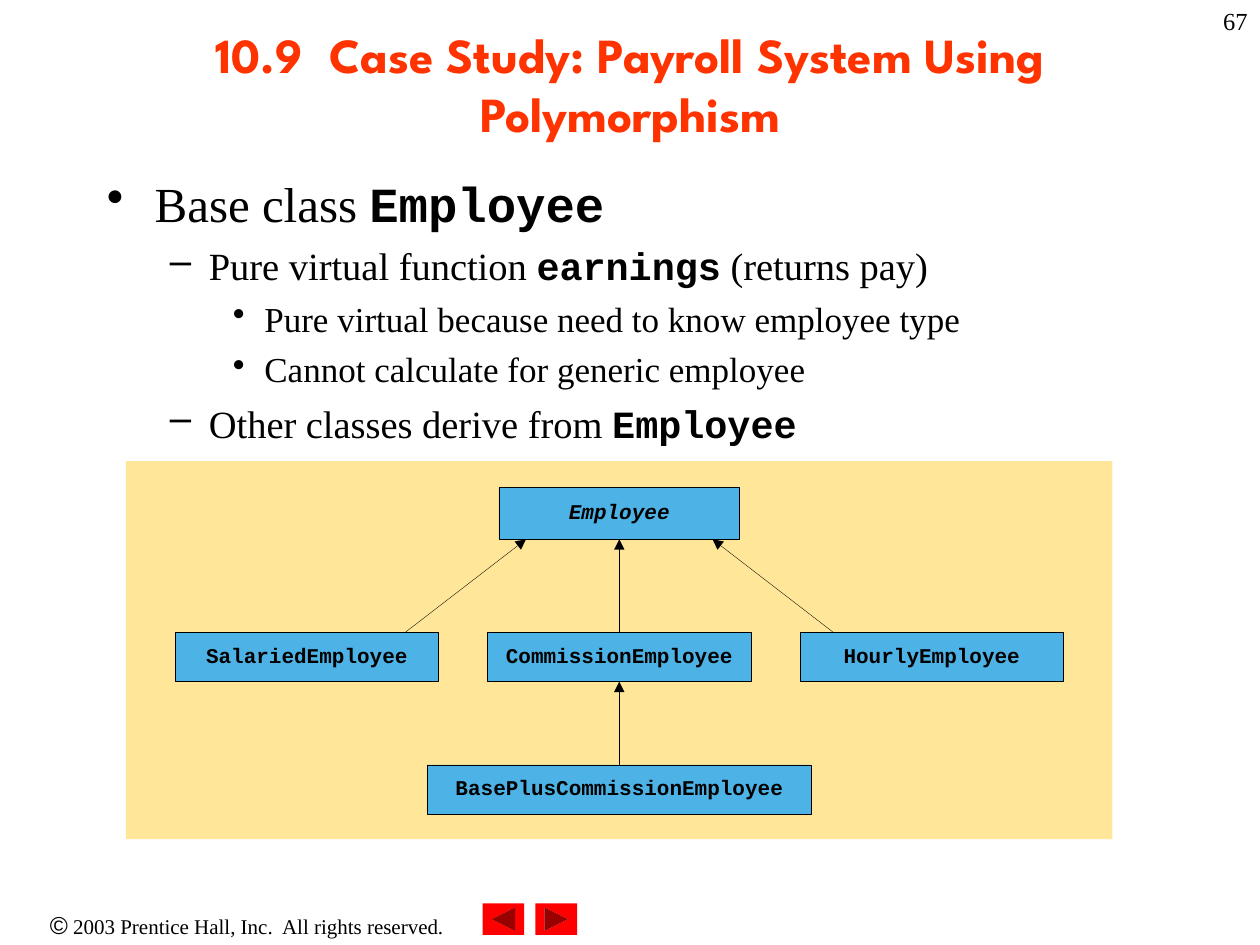
from dataclasses import dataclass

from lxml.etree import SubElement
from pptx import Presentation
from pptx.dml.color import RGBColor
from pptx.enum.shapes import MSO_CONNECTOR as Connector, MSO_SHAPE as Preset
from pptx.enum.text import MSO_ANCHOR as Anchor, PP_ALIGN as Align
from pptx.oxml.ns import qn
from pptx.util import Inches, Pt


@dataclass(frozen=True)
class Theme:
    black: str = "000000"
    title: str = "FF3300"
    panel: str = "FFE699"
    node: str = "4DB3E6"
    button: str = "FF0000"
    serif: str = "Times New Roman"
    sans: str = "Arial"
    code: str = "Courier New"
    heading: str = "League Spartan"
    title_size: float = 28
    level_sizes: tuple = (28, 22, 20)
    number_size: float = 14
    footer_size: float = 12
    node_size: float = 12
    hairline: float = 0.2


THEME = Theme()
LEVELS = (
    {"bullet": "•", "margin": 0.38, "hang": 0.38, "before": 7},
    {"bullet": "–", "margin": 0.81, "hang": 0.31, "before": 5.5},
    {"bullet": "•", "margin": 1.25, "hang": 0.25, "before": 5},
)
BODY = (
    (0, (("Base class ", False), ("Employee", True))),
    (1, (("Pure virtual function ", False), ("earnings", True), (" (returns pay)", False))),
    (2, (("Pure virtual because need to know employee type", False),)),
    (2, (("Cannot calculate for generic employee", False),)),
    (1, (("Other classes derive from ", False), ("Employee", True))),
)


def add_span(para, text, color=THEME.black, **formats):
    span = para.add_run()
    span.text = text
    span.font.color.rgb = RGBColor.from_string(color)
    for name, value in formats.items():
        setattr(span.font, name, value)


def add_text_box(page, box, anchor=Anchor.TOP):
    frame = page.shapes.add_textbox(*map(Inches, box)).text_frame
    frame.word_wrap = True
    frame.vertical_anchor = anchor
    return frame


def add_line_of_text(page, box, align, spans, anchor=Anchor.TOP):
    para = add_text_box(page, box, anchor).paragraphs[0]
    para.alignment = align
    for text, formats in spans:
        add_span(para, text, **formats)


def add_block(page, preset, box, fill, line=None):
    block = page.shapes.add_shape(preset, *map(Inches, box))
    block.shadow.inherit = False
    block.fill.solid()
    block.fill.fore_color.rgb = RGBColor.from_string(fill)
    if line:
        block.line.color.rgb = RGBColor.from_string(line)
        block.line.width = Pt(THEME.hairline)
    else:
        block.line.fill.background()
    return block


def add_arrow(page, start, end):
    arrow = page.shapes.add_connector(Connector.STRAIGHT, *map(Inches, start + end))
    arrow.line.color.rgb = RGBColor.from_string(THEME.black)
    arrow.line.width = Pt(THEME.hairline)
    SubElement(arrow.line._get_or_add_ln(), qn("a:tailEnd"), type="triangle")
    SubElement(arrow._element.spPr, qn("a:effectLst"))


def add_node(page, box, name, italic=False):
    node = add_block(page, Preset.RECTANGLE, box, THEME.node, THEME.black)
    frame = node.text_frame
    settings = {
        "margin_left": 0, "margin_right": 0, "margin_top": 0, "margin_bottom": 0,
        "vertical_anchor": Anchor.MIDDLE, "word_wrap": True,
    }
    for key, value in settings.items():
        setattr(frame, key, value)
    para = frame.paragraphs[0]
    para.alignment = Align.CENTER
    para.line_spacing = 0.8
    add_span(para, name, name=THEME.code, size=Pt(THEME.node_size), bold=True, italic=italic)


def add_title(page, box):
    formats = {"color": THEME.title, "name": THEME.heading,
               "size": Pt(THEME.title_size), "bold": True}
    title = "10.9  Case Study: Payroll System Using Polymorphism"
    add_line_of_text(page, box, Align.CENTER, ((title, formats),), Anchor.MIDDLE)


def add_body(page, box):
    frame = add_text_box(page, box)
    for index, (level, spans) in enumerate(BODY):
        para = frame.add_paragraph() if index else frame.paragraphs[0]
        style = LEVELS[level]
        para.level = level
        props = para._p.get_or_add_pPr()
        props.set("marL", str(Inches(style["margin"])))
        props.set("indent", str(-Inches(style["hang"])))
        SubElement(props, qn("a:buChar"), char=style["bullet"])
        if index:
            para.space_before = Pt(style["before"])
        for text, is_code in spans:
            add_span(para, text, name=THEME.code if is_code else THEME.serif,
                     size=Pt(THEME.level_sizes[level]), bold=is_code)


def add_class_diagram(page, box):
    left, top, width, height = box
    center = left + width / 2
    root_top, middle_top, leaf_top = top + 0.21, top + 1.36, top + 2.41
    root_height, node_height = 0.41, 0.39
    root_bottom = root_top + root_height

    add_block(page, Preset.RECTANGLE, box, THEME.panel)
    for side in (-1, 0, 1):
        add_arrow(page, (center + side * 1.7, middle_top), (center + side * 0.74, root_bottom))
    add_arrow(page, (center, leaf_top), (center, middle_top + node_height))

    def centered(middle, y, node_width, tall=node_height):
        return middle - node_width / 2, y, node_width, tall

    add_node(page, centered(center, root_top, 1.91, root_height), "Employee", italic=True)
    subclasses = ("SalariedEmployee", "CommissionEmployee", "HourlyEmployee")
    for side, name in enumerate(subclasses, start=-1):
        add_node(page, centered(center + side * 2.48, middle_top, 2.09), name)
    add_node(page, centered(center, leaf_top, 3.05), "BasePlusCommissionEmployee")


def add_footer(page, box):
    left, top, width, height = box
    add_line_of_text(page, (left, top, 3.92, height), Align.CENTER, (
        ("©", {"name": THEME.sans, "size": Pt(THEME.number_size)}),
        (" 2003 Prentice Hall, Inc.  All rights reserved.",
         {"name": THEME.serif, "size": Pt(THEME.footer_size)}),
    ))
    buttons = (Preset.ACTION_BUTTON_BACK_OR_PREVIOUS, Preset.ACTION_BUTTON_FORWARD_OR_NEXT)
    for index, preset in enumerate(buttons):
        add_block(page, preset, (left + 3.83 + index * 0.42, top, 0.33, 0.25), THEME.button)


def add_page_number(page, box):
    formats = {"name": THEME.serif, "size": Pt(THEME.number_size)}
    add_line_of_text(page, box, Align.RIGHT, (("67", formats),))


def main():
    deck = Presentation()
    deck.slide_width, deck.slide_height = Inches(10), Inches(7.5)
    page = deck.slides.add_slide(deck.slide_layouts[6])
    add_footer(page, (0, 7.17, 4.58, 0.34))
    add_title(page, (0.75, 0.08, 8.5, 1.17))
    add_body(page, (0.75, 1.33, 8.5, 5.75))
    add_class_diagram(page, (1, 3.66, 7.83, 3))
    add_page_number(page, (7.92, 0, 2.08, 0.5))
    deck.save("out.pptx")


if __name__ == "__main__":
    main()
